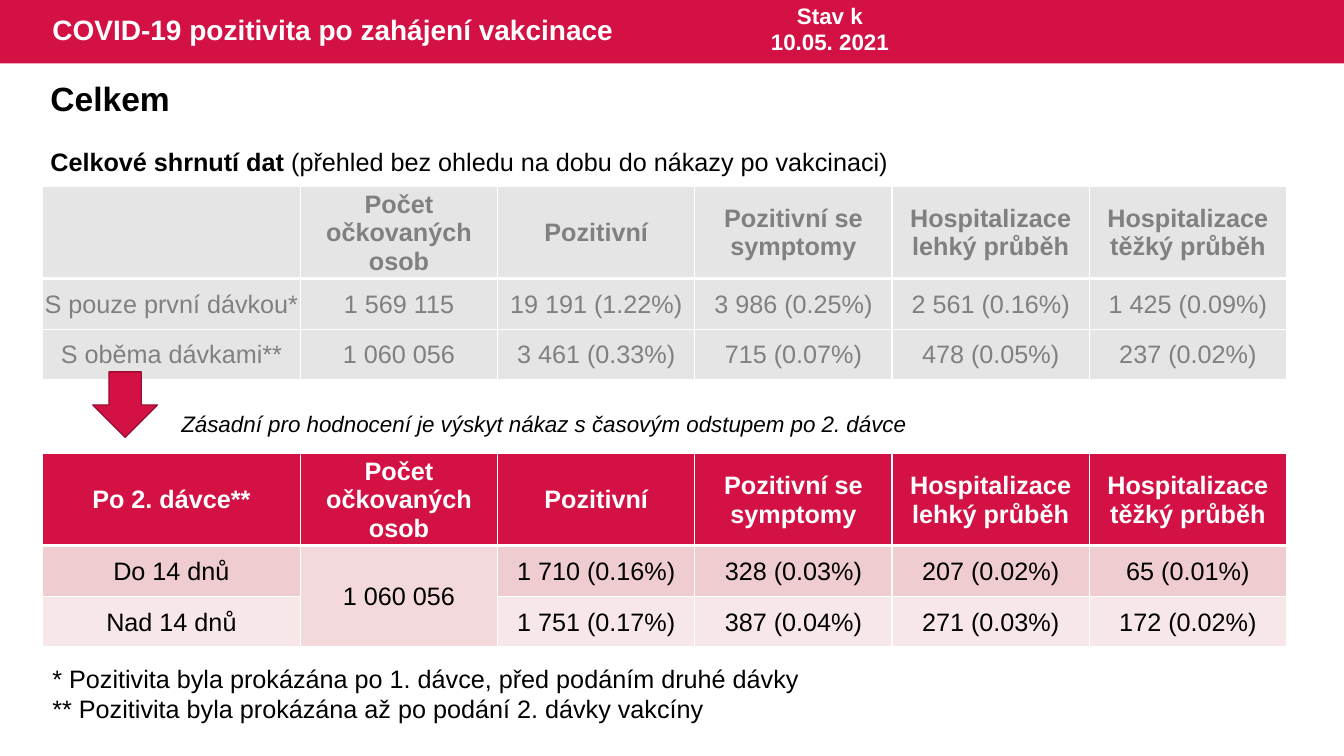
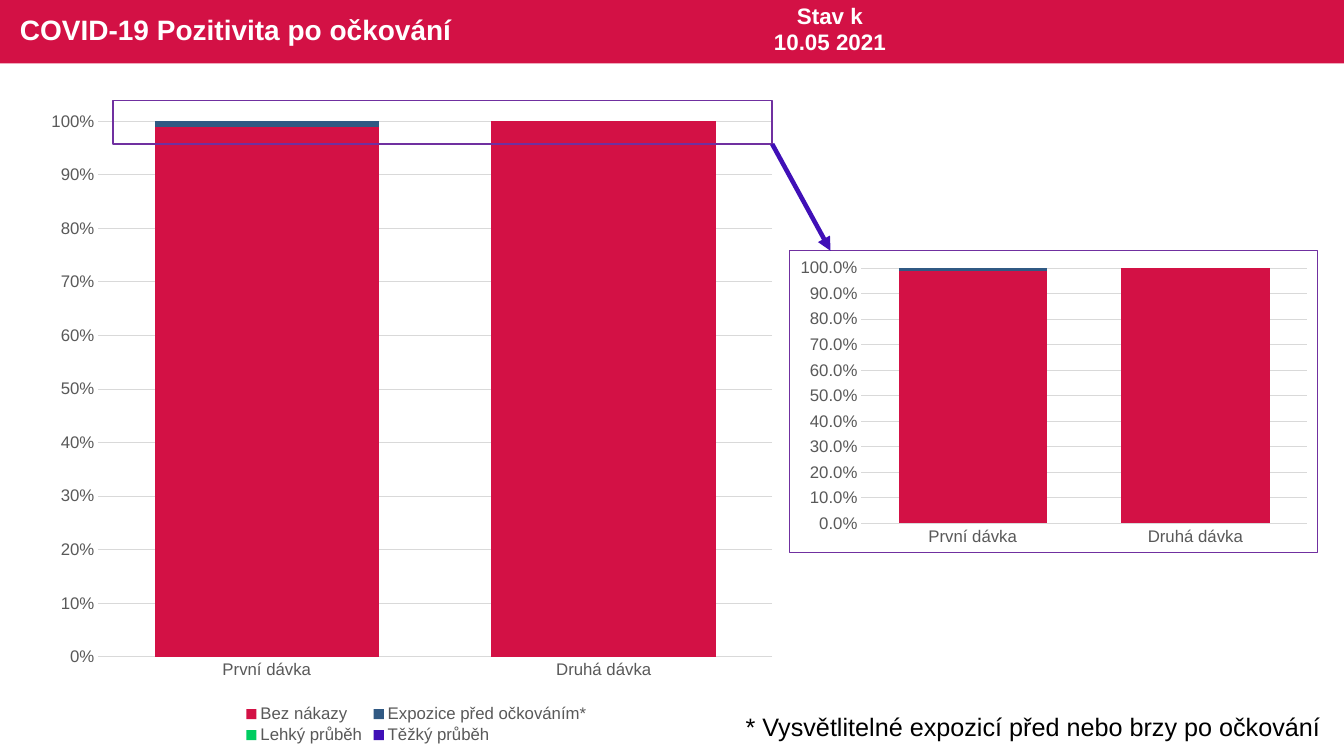
import collections

import lxml.etree
import pptx
import pptx.chart.data
import pptx.dml.color
import pptx.enum.chart
import pptx.enum.shapes
import pptx.enum.text
import pptx.oxml
import pptx.oxml.ns
import pptx.util

Cm = pptx.util.Cm
Pt = pptx.util.Pt
qn = pptx.oxml.ns.qn
ALIGN = pptx.enum.text.PP_ALIGN
ANCHOR = pptx.enum.text.MSO_ANCHOR
SHAPE = pptx.enum.shapes.MSO_SHAPE
Box = collections.namedtuple("Box", "left top width height")

FONT = "Arial"
CRIMSON, DARK_CRIMSON = "D31145", "9C0D33"
WHITE, BLACK = "FFFFFF", "000000"
INDIGO, PURPLE = "4010B7", "7030A0"
GREY, PALE_GREY, AXIS_GREY, GRID_GREY = "808080", "E5E5E5", "595959", "D9D9D9"
ROSE, MIXED_ROSE, PALE_ROSE = "EFCCCF", "F3D9DC", "F7E7E9"
SLIDE_WIDTH, SLIDE_HEIGHT = 33.87, 19.05
BAND_HEIGHT = 1.6

COUNT_HEADINGS = [
    "Počet očkovaných osob",
    "Pozitivní",
    "Pozitivní se symptomy",
    "Hospitalizace lehký průběh",
    "Hospitalizace těžký průběh",
]
DOSE_ROWS = [
    [""] + COUNT_HEADINGS,
    ["S pouze první dávkou*", "1 569 115", "19 191 (1.22%)", "3 986 (0.25%)",
     "2 561 (0.16%)", "1 425 (0.09%)"],
    ["S oběma dávkami**", "1 060 056", "3 461 (0.33%)", "715 (0.07%)",
     "478 (0.05%)", "237 (0.02%)"],
]
INTERVAL_ROWS = [
    ["Po 2. dávce**"] + COUNT_HEADINGS,
    ["Do 14 dnů", "1 060 056", "1 710 (0.16%)", "328 (0.03%)",
     "207 (0.02%)", "65 (0.01%)"],
    ["Nad 14 dnů", "", "1 751 (0.17%)", "387 (0.04%)",
     "271 (0.03%)", "172 (0.02%)"],
]
DOSES = ["První dávka", "Druhá dávka"]
COURSES = [
    ("Bez nákazy", (99, 100), CRIMSON),
    ("Expozice před očkováním*", (1, 0), "305983"),
    ("Lehký průběh", (0, 0), "00CD61"),
    ("Těžký průběh", (0, 0), INDIGO),
]


def rgb(value):
    """Turn a hex string into a colour."""
    return pptx.dml.color.RGBColor.from_string(value)


def lengths(box):
    """Give the four lengths of a box in centimetres."""
    return [Cm(value) for value in box]


def style_font(font, size, color, bold=False, italic=False):
    """Set the look of a font."""
    font.name, font.size = FONT, Pt(size)
    font.bold, font.italic = bold, italic
    font.color.rgb = rgb(color)


def add_text(slide, box, text, size, color=BLACK, bold=False, italic=False,
             align=ALIGN.LEFT, anchor=ANCHOR.TOP):
    """Add a wrapping text box and return its text frame."""
    frame = slide.shapes.add_textbox(*lengths(box)).text_frame
    frame.word_wrap, frame.vertical_anchor = True, anchor
    frame.text = text
    for paragraph in frame.paragraphs:
        paragraph.alignment = align
        for run in paragraph.runs:
            style_font(run.font, size, color, bold, italic)
    return frame


def add_shape(slide, kind, box, fill=None, line=None):
    """Add a preset shape with an optional fill and a 1 pt outline."""
    shape = slide.shapes.add_shape(kind, *lengths(box))
    shape.shadow.inherit = False
    if fill:
        shape.fill.solid()
        shape.fill.fore_color.rgb = rgb(fill)
    else:
        shape.fill.background()
    if line:
        shape.line.color.rgb = rgb(line)
        shape.line.width = Pt(1)
    else:
        shape.line.fill.background()


def add_header(slide, box, title, title_left, date):
    """Add the crimson band with its title and date."""
    add_shape(slide, SHAPE.RECTANGLE, box, CRIMSON)
    title_box = Box(box.left + title_left, box.top, 17, box.height)
    frame = add_text(slide, title_box, title, 20, WHITE, True, anchor=ANCHOR.MIDDLE)
    frame.paragraphs[0].line_spacing = 0.9
    date_box = Box(box.left + 18.97, box.top - 0.08, 3.89, box.height)
    add_text(slide, date_box, f"Stav k\v{date}", 16, WHITE, True, align=ALIGN.CENTER)


def add_cell_borders(cell, bottom_width):
    """Draw white borders on all sides of a cell."""
    properties = cell._tc.get_or_add_tcPr()
    for index, side in enumerate(("lnL", "lnR", "lnT", "lnB")):
        line = lxml.etree.Element(qn(f"a:{side}"))
        line.set("w", str(Pt(bottom_width if side == "lnB" else 1)))
        fill = lxml.etree.SubElement(line, qn("a:solidFill"))
        lxml.etree.SubElement(fill, qn("a:srgbClr")).set("val", WHITE)
        properties.insert(index, line)


def style_cell(cell, text, fill, color, header):
    """Fill in and format one table cell."""
    cell.text = text
    cell.vertical_anchor = ANCHOR.MIDDLE
    cell.margin_left = cell.margin_right = cell.margin_top = Cm(0.03)
    cell.margin_bottom = 0
    cell.fill.solid()
    cell.fill.fore_color.rgb = rgb(fill)
    add_cell_borders(cell, 3 if header else 1)
    paragraph = cell.text_frame.paragraphs[0]
    paragraph.alignment = ALIGN.CENTER
    for run in paragraph.runs:
        style_font(run.font, 18, color, header)


def add_count_table(slide, box, rows, fills, header_color, body_color):
    """Add a table of counts with a tall header row and a wide first column."""
    table = slide.shapes.add_table(len(rows), len(rows[0]), *lengths(box)).table
    table.horz_banding = False
    first_width, header_height = 6.5, 2.2
    for index, column in enumerate(table.columns):
        rest = (box.width - first_width) / (len(rows[0]) - 1)
        column.width = Cm(rest if index else first_width)
    for index, row in enumerate(table.rows):
        rest = (box.height - header_height) / (len(rows) - 1)
        row.height = Cm(rest if index else header_height)
    for row_index, (texts, fill) in enumerate(zip(rows, fills)):
        header = row_index == 0
        color = header_color if header else body_color
        for column_index, text in enumerate(texts):
            style_cell(table.cell(row_index, column_index), text, fill, color, header)
    return table


def set_layout(parent, position, target, fractions):
    """Fix a chart part at x, y, width and height fractions of the chart."""
    for old in parent.findall(qn("c:layout")):
        parent.remove(old)
    layout = lxml.etree.Element(qn("c:layout"))
    manual = lxml.etree.SubElement(layout, qn("c:manualLayout"))
    settings = [("layoutTarget", target)] if target else []
    settings += [("xMode", "edge"), ("yMode", "edge")]
    settings += zip("xywh", fractions)
    for name, value in settings:
        lxml.etree.SubElement(manual, qn(f"c:{name}")).set("val", str(value))
    parent.insert(position, layout)


def add_course_chart(slide, box, number_format, plot, legend=None):
    """Add a 100 % stacked column chart of the courses after each dose."""
    data = pptx.chart.data.CategoryChartData()
    data.categories = DOSES
    for name, values, _ in COURSES:
        data.add_series(name, values)
    kind = pptx.enum.chart.XL_CHART_TYPE.COLUMN_STACKED_100
    chart = slide.shapes.add_chart(kind, *lengths(box), data).chart
    chart.has_title = False
    style_font(chart.font, 12, AXIS_GREY)
    columns = chart.plots[0]
    columns.gap_width, columns.overlap = 50, 100
    columns.vary_by_categories = False
    for series, (_, _, color) in zip(columns.series, COURSES):
        series.format.fill.solid()
        series.format.fill.fore_color.rgb = rgb(color)
    value_axis, category_axis = chart.value_axis, chart.category_axis
    for axis in (value_axis, category_axis):
        axis.major_tick_mark = pptx.enum.chart.XL_TICK_MARK.NONE
        style_font(axis.tick_labels.font, 12, AXIS_GREY)
    value_axis.minimum_scale, value_axis.major_unit = 0, 0.1
    value_axis.tick_labels.number_format = number_format
    value_axis.tick_labels.number_format_is_linked = False
    value_axis.format.line.fill.background()
    for line in (value_axis.major_gridlines.format.line, category_axis.format.line):
        line.color.rgb = rgb(GRID_GREY)
        line.width = Pt(0.75)
    set_layout(chart._chartSpace.chart.plotArea, 0, "inner", plot)
    chart.has_legend = legend is not None
    if legend:
        chart.legend.position = pptx.enum.chart.XL_LEGEND_POSITION.BOTTOM
        chart.legend.include_in_layout = False
        style_font(chart.legend.font, 12, AXIS_GREY)
        set_layout(chart.legend._element, 1, None, legend)


def add_arrow(slide, start, end):
    """Add a thick indigo arrow between two points."""
    kind = pptx.enum.shapes.MSO_CONNECTOR.STRAIGHT
    arrow = slide.shapes.add_connector(kind, *lengths(start + end))
    arrow.line.color.rgb = rgb(INDIGO)
    arrow.line.width = Pt(3.25)
    line = arrow.line._get_or_add_ln()
    lxml.etree.SubElement(line, qn("a:tailEnd")).set("type", "triangle")
    lxml.etree.SubElement(arrow._element.spPr, qn("a:effectLst"))


def build_summary(slide, box):
    """Place both count tables with their headings and footnotes."""
    left, top = box.left + 1.07, box.top
    width, height = 31.35, 4.76
    add_count_table(slide, Box(left, top + 4.7, width, height), DOSE_ROWS,
                    [PALE_GREY] * 3, GREY, GREY)
    table = add_count_table(slide, Box(left, top + 11.43, width, height), INTERVAL_ROWS,
                            [CRIMSON, ROSE, PALE_ROSE], WHITE, BLACK)
    vaccinated = table.cell(1, 1)
    vaccinated.merge(table.cell(2, 1))
    vaccinated.fill.fore_color.rgb = rgb(MIXED_ROSE)
    add_text(slide, Box(left - 0.05, top + 1.85, 6, 1.27), "Celkem", 24, bold=True)
    frame = add_text(slide, Box(left - 0.05, top + 3.56, 23.27, 1.02),
                     "Celkové shrnutí dat ", 18, bold=True)
    run = frame.paragraphs[0].add_run()
    run.text = "(přehled bez ohledu na dobu do nákazy po vakcinaci)"
    style_font(run.font, 18, BLACK)
    add_shape(slide, SHAPE.DOWN_ARROW, Box(left + 1.27, top + 9.37, 1.63, 1.65),
              CRIMSON, DARK_CRIMSON)
    add_text(slide, Box(left + 3.25, top + 10.21, 21.7, 0.94),
             "Zásadní pro hodnocení je výskyt nákaz s časovým odstupem po 2. dávce",
             16, italic=True)
    add_text(slide, Box(left, top + 16.59, width, 1.8),
             "* Pozitivita byla prokázána po 1. dávce, před podáním druhé dávky\n"
             "** Pozitivita byla prokázána až po podání 2. dávky vakcíny", 18)


def build_comparison(slide, box):
    """Place the main chart, its framed detail and the note."""
    left, top = box.left, box.top
    add_course_chart(slide, Box(left + 0.97, top + 2.57, 18.87, 16.26), "0%",
                     (0.08, 0.03, 0.9, 0.83), (0.27, 0.93, 0.47, 0.07))
    add_course_chart(slide, Box(left + 19.84, top + 6.38, 13.36, 7.57), "0.0%",
                     (0.14, 0.05, 0.84, 0.85))
    marked = Box(left + 2.85, top + 2.54, 16.61, 1.09)
    detail = Box(left + 19.89, top + 6.32, 13.31, 7.6)
    for frame in (marked, detail):
        add_shape(slide, SHAPE.RECTANGLE, frame, line=PURPLE)
    add_arrow(slide, (marked.left + marked.width, marked.top + marked.height),
              (detail.left + 1.04, detail.top))
    add_text(slide, Box(left + 18.54, top + 17.8, 15.33, 1.02),
             "* Vysvětlitelné expozicí před nebo brzy po očkování", 18)


def main():
    """Build and save the presentation."""
    presentation = pptx.Presentation()
    presentation.slide_width, presentation.slide_height = Cm(SLIDE_WIDTH), Cm(SLIDE_HEIGHT)
    page = Box(0, 0, SLIDE_WIDTH, SLIDE_HEIGHT)
    band = page._replace(height=BAND_HEIGHT)
    for title, title_left, date, build in (
        ("COVID-19 pozitivita po zahájení vakcinace", 1.07, "10.05. 2021", build_summary),
        ("COVID-19 Pozitivita po očkování", 0.25, "10.05 2021", build_comparison),
    ):
        slide = presentation.slides.add_slide(presentation.slide_layouts[6])
        add_header(slide, band, title, title_left, date)
        build(slide, page)
    presentation.save("out.pptx")


if __name__ == "__main__":
    main()
